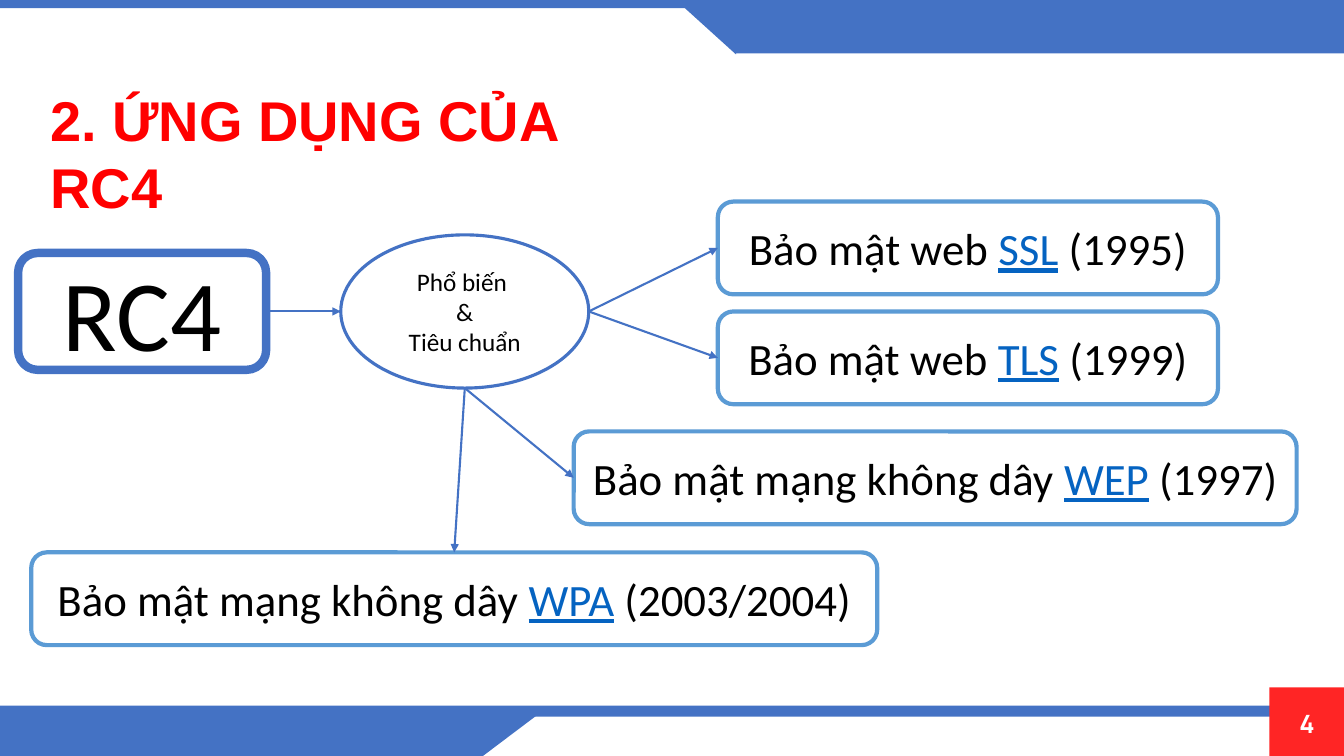
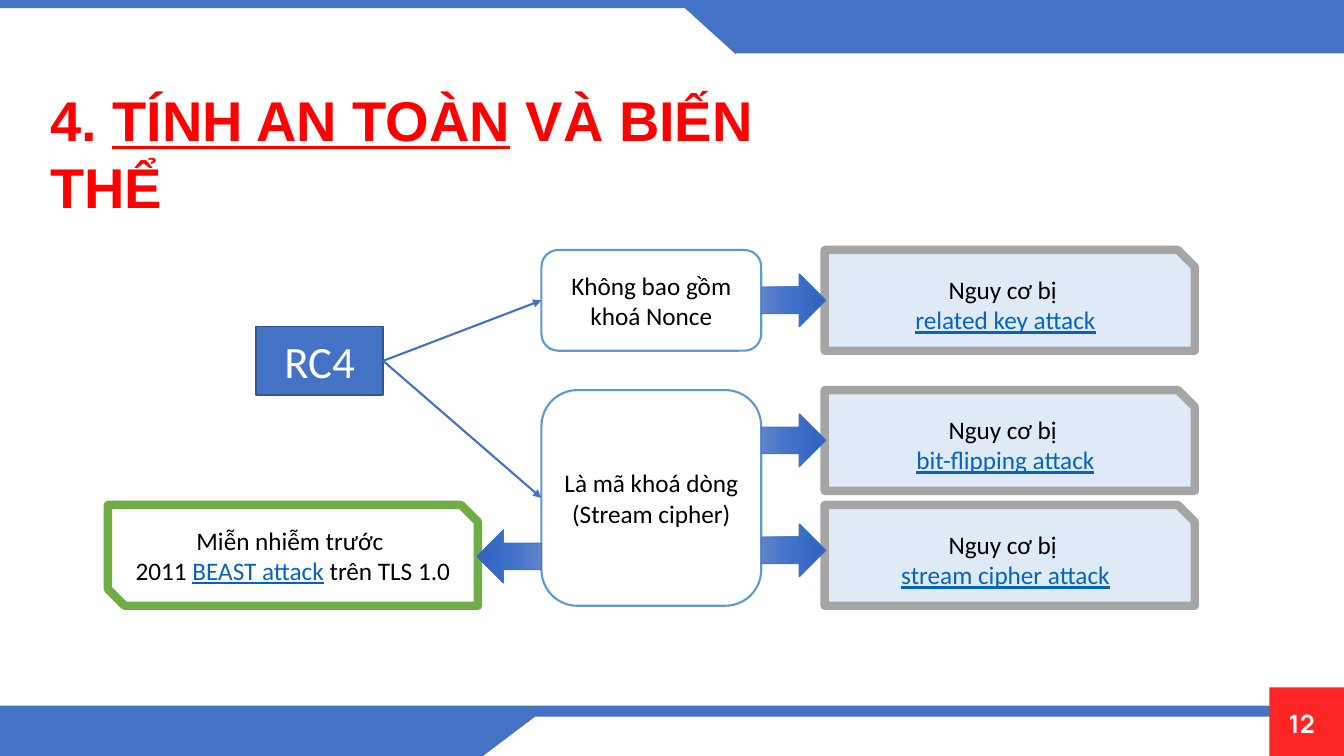
from copy import deepcopy

from pptx import Presentation
from pptx.dml.color import RGBColor
from pptx.enum.shapes import MSO_CONNECTOR, MSO_SHAPE as SHAPE
from pptx.enum.text import MSO_ANCHOR as ANCHOR, PP_ALIGN as ALIGN
from pptx.oxml.ns import qn
from pptx.oxml.xmlchemy import OxmlElement
from pptx.util import Inches, Pt

BLUE = RGBColor(0x44, 0x72, 0xC4)
DARK_BLUE = RGBColor(0x32, 0x54, 0x91)
LIGHT_BLUE = RGBColor(0x5B, 0x9B, 0xD5)
PALE_BLUE = RGBColor(0xDE, 0xEB, 0xF7)
LINK_BLUE = RGBColor(0x05, 0x63, 0xC1)
GREEN = RGBColor(0x70, 0xAD, 0x47)
GRAY = RGBColor(0xA5, 0xA5, 0xA5)
RED = RGBColor(0xFF, 0x00, 0x00)
BADGE_RED = RGBColor(0xFF, 0x25, 0x25)
WHITE = RGBColor(0xFF, 0xFF, 0xFF)
BLACK = RGBColor(0x00, 0x00, 0x00)
ARROW_STOPS = [
    (0, RGBColor(0x61, 0x83, 0xCB)),
    (0.5, RGBColor(0x3E, 0x70, 0xCA)),
    (1, RGBColor(0x30, 0x62, 0xBB)),
]

SLIDE_W, SLIDE_H = 13.33, 7.5

FRAME = [
    (SHAPE.RECTANGLE, (0, 0, SLIDE_W, 0.08), 0, BLUE),
    (SHAPE.RECTANGLE, (7.3, 0.06, 6.03, 0.47), 0, BLUE),
    (SHAPE.RIGHT_TRIANGLE, (6.77, 0.06, 0.53, 0.48), 180, BLUE),
    (SHAPE.RECTANGLE, (0, 7, SLIDE_W, 0.11), 0, BLUE),
    (SHAPE.RECTANGLE, (0, 7.09, 4.79, 0.41), 0, BLUE),
    (SHAPE.RIGHT_TRIANGLE, (4.86, 7, 0.43, 0.57), 90, BLUE),
    (SHAPE.RECTANGLE, (12.59, 6.82, 0.74, 0.68), 0, BADGE_RED),
]

# Each style: preset, fill, line colour, line width, text size, text colour
STYLES = {
    "cipher": (SHAPE.ROUNDED_RECTANGLE, WHITE, BLUE, 6, 72, BLACK),
    "hub": (SHAPE.OVAL, WHITE, BLUE, 2.25, 18, BLACK),
    "use": (SHAPE.ROUNDED_RECTANGLE, WHITE, LIGHT_BLUE, 3, 32, BLACK),
    "root": (SHAPE.RECTANGLE, BLUE, DARK_BLUE, 1, 32, WHITE),
    "trait": (SHAPE.ROUNDED_RECTANGLE, WHITE, LIGHT_BLUE, 1.5, 18, BLACK),
    "risk": (SHAPE.SNIP_1_RECTANGLE, PALE_BLUE, GRAY, 6, 18, BLACK),
    "immune": (SHAPE.SNIP_2_DIAG_RECTANGLE, WHITE, GREEN, 6, 18, BLACK),
}

SLIDES = [
    {
        "number": "4",
        "title": "2. ỨNG DỤNG CỦA RC4",
        "title_width": 5.69,
        "boxes": {
            "rc4": ("cipher", (0.18, 2.51, 2.46, 1.16), ["RC4"]),
            "ssl": ("use", (7.12, 2, 4.96, 0.92), ["Bảo mật web |SSL| (1995)"]),
            "wep": ("use", (5.69, 4.28, 7.17, 0.92),
                    ["Bảo mật mạng không dây |WEP| (1997)"]),
            "wpa": ("use", (0.31, 5.48, 8.39, 0.92),
                    ["Bảo mật mạng không dây |WPA| (2003/2004)"]),
            "tls": ("use", (7.12, 3.09, 4.96, 0.92), ["Bảo mật web |TLS| (1999)"]),
            "standard": ("hub", (3.38, 2.33, 2.46, 1.52),
                         ["Phổ biến ", "&", "Tiêu chuẩn"]),
        },
        "block_arrows": [],
        "links": [
            ("rc4", "right", "standard", "left"),
            ("standard", "right", "ssl", "left"),
            ("standard", "right", "tls", "left"),
            ("standard", "bottom", "wep", "left"),
            ("standard", "bottom", "wpa", "top"),
        ],
    },
    {
        "number": "12",
        "title": "4. |TÍNH AN TOÀN| VÀ BIẾN THỂ",
        "title_width": 8.1,
        "boxes": {
            "rc4": ("root", (2.54, 3.24, 1.26, 0.68), ["RC4"]),
            "nonce": ("trait", (5.37, 2.48, 2.18, 1), ["Không bao gồm khoá Nonce"]),
            "related": ("risk", (8.18, 2.48, 3.67, 1),
                        ["Nguy cơ bị ", "|related key attack|"]),
            "beast": ("immune", (1.07, 5.01, 3.67, 1),
                      ["Miễn nhiễm trước ", "2011 |BEAST attack| trên TLS 1.0"]),
            "stream_risk": ("risk", (8.18, 5.01, 3.67, 1),
                            ["Nguy cơ bị ", "|stream cipher attack|"]),
            "flipping": ("risk", (8.18, 3.87, 3.67, 1),
                         ["Nguy cơ bị ", "|bit-flipping attack|"]),
            "stream": ("trait", (5.37, 3.87, 2.18, 2.14),
                       ["Là mã khoá dòng", "(Stream cipher)"]),
        },
        "block_arrows": [
            (SHAPE.RIGHT_ARROW, 7.55, 2.98),
            (SHAPE.RIGHT_ARROW, 7.55, 4.37),
            (SHAPE.RIGHT_ARROW, 7.55, 5.46),
            (SHAPE.LEFT_ARROW, 4.73, 5.52),
        ],
        "links": [
            ("rc4", "right", "nonce", "left"),
            ("rc4", "right", "stream", "left"),
        ],
    },
]


def add_part(slide, preset, place, fill=None, line=None, line_width=1):
    part = slide.shapes.add_shape(preset, *map(Inches, place))
    part.shadow.inherit = False
    if fill is not None:
        part.fill.solid()
        part.fill.fore_color.rgb = fill
    if line is None:
        part.line.fill.background()
    else:
        part.line.color.rgb = line
        part.line.width = Pt(line_width)
    return part


def write(part, lines, size, color, font="Calibri", bold=False,
          align=ALIGN.CENTER, anchor=ANCHOR.MIDDLE, marked_color=None):
    frame = part.text_frame
    frame.word_wrap = True
    frame.vertical_anchor = anchor
    for row, line in enumerate(lines):
        paragraph = frame.add_paragraph() if row else frame.paragraphs[0]
        paragraph.alignment = align
        for position, words in enumerate(line.split("|")):
            if not words:
                continue
            marked = position % 2 == 1
            run = paragraph.add_run()
            run.text = words
            run.font.name = font
            run.font.size = Pt(size)
            run.font.bold = bold
            run.font.underline = marked
            run.font.color.rgb = marked_color if marked and marked_color else color
    return frame


def add_frame(slide, number):
    for preset, place, rotation, fill in FRAME:
        add_part(slide, preset, place, fill).rotation = rotation
    label = slide.shapes.add_textbox(*map(Inches, (12.67, 6.98, 0.37, 0.46)))
    frame = write(label, [number], 18, WHITE, "Manrope", True, ALIGN.RIGHT, ANCHOR.TOP)
    frame.margin_left = frame.margin_right = frame.margin_bottom = 0
    frame.margin_top = Inches(0.08)
    frame.paragraphs[0].line_spacing = 0.9
    frame.paragraphs[0].space_before = Pt(10)


def add_title(slide, title, width):
    heading = slide.shapes.add_textbox(*map(Inches, (0.4, 0.95, width, 1.13)))
    write(heading, [title], 40, RED, "Arial", True, ALIGN.LEFT)


def add_box(slide, style, place, lines):
    preset, fill, line, line_width, size, color = STYLES[style]
    box = add_part(slide, preset, place, fill, line, line_width)
    write(box, lines, size, color, marked_color=LINK_BLUE)


def add_block_arrow(slide, preset, left, middle):
    width, height = 0.64, 0.53
    place = (left, middle - height / 2, width, height)
    arrow = add_part(slide, preset, place, line=BLUE, line_width=0.5)
    arrow.fill.gradient()
    arrow.fill.gradient_angle = 180 if preset == SHAPE.LEFT_ARROW else 0
    stop_list = arrow._element.spPr.find(qn("a:gradFill")).find(qn("a:gsLst"))
    stop_list.append(deepcopy(stop_list[0]))
    for stop, (position, color) in zip(arrow.fill.gradient_stops, ARROW_STOPS):
        stop.position = position
        stop.color.rgb = color


def side_point(place, side):
    left, top, width, height = place
    x, y = {
        "left": (left, top + height / 2),
        "right": (left + width, top + height / 2),
        "top": (left + width / 2, top),
        "bottom": (left + width / 2, top + height),
    }[side]
    return Inches(x), Inches(y)


def add_link(slide, start, end):
    link = slide.shapes.add_connector(MSO_CONNECTOR.STRAIGHT, *start, *end)
    link.line.color.rgb = BLUE
    link.line.width = Pt(1.5)
    head = OxmlElement("a:tailEnd")
    head.set("type", "triangle")
    link.line._get_or_add_ln().append(head)
    link._element.spPr.append(OxmlElement("a:effectLst"))


def main():
    deck = Presentation()
    deck.slide_width, deck.slide_height = Inches(SLIDE_W), Inches(SLIDE_H)
    for content in SLIDES:
        slide = deck.slides.add_slide(deck.slide_layouts[6])
        boxes = content["boxes"]
        add_frame(slide, content["number"])
        add_title(slide, content["title"], content["title_width"])
        for box in boxes.values():
            add_box(slide, *box)
        for block_arrow in content["block_arrows"]:
            add_block_arrow(slide, *block_arrow)
        for source, source_side, target, target_side in content["links"]:
            add_link(slide, side_point(boxes[source][1], source_side),
                     side_point(boxes[target][1], target_side))
    deck.save("out.pptx")


if __name__ == "__main__":
    main()
